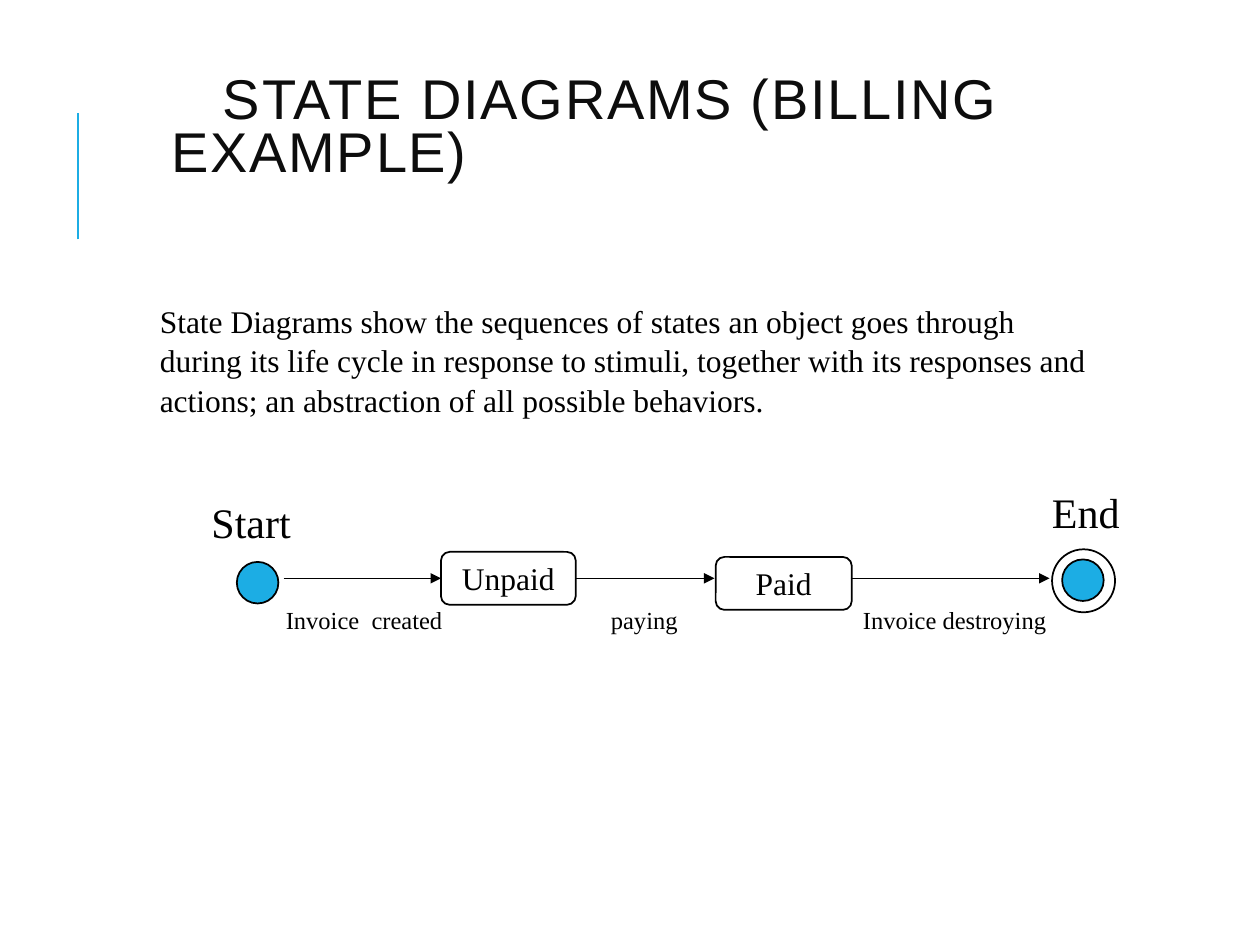
from dataclasses import dataclass

from lxml.etree import SubElement
from pptx import Presentation
from pptx.dml.color import RGBColor
from pptx.enum.shapes import MSO_CONNECTOR, MSO_SHAPE
from pptx.enum.text import MSO_ANCHOR, MSO_AUTO_SIZE, PP_ALIGN
from pptx.oxml.ns import qn
from pptx.util import Pt

PX = 9144  # EMU per px, 100 px to the inch


@dataclass(frozen=True)
class Theme:
    ink: RGBColor = RGBColor(0, 0, 0)
    title_ink: RGBColor = RGBColor(0x0D, 0x0D, 0x0D)
    accent: RGBColor = RGBColor(0x1C, 0xAD, 0xE4)
    title_font: str = "Arial"
    body_font: str = "Times New Roman"
    title_size: int = 32
    end_size: int = 24
    body_size: int = 18
    event_size: int = 14


theme = Theme()


def write(shape, text, *, size=theme.body_size, font=theme.body_font, color=theme.ink,
          align=PP_ALIGN.LEFT, anchor=MSO_ANCHOR.TOP, wrap=True, spacing=1.0):
    frame = shape.text_frame
    frame.word_wrap = wrap
    frame.auto_size = MSO_AUTO_SIZE.NONE
    frame.vertical_anchor = anchor
    paragraph = frame.paragraphs[0]
    paragraph.alignment = align
    paragraph.line_spacing = spacing
    run = paragraph.add_run()
    run.text = text
    run.font.size = Pt(size)
    run.font.name = font
    run.font.color.rgb = color
    return paragraph


def draw_line(x1, y1, x2, y2, color=theme.ink, width=0.75):
    line = slide.shapes.add_connector(
        MSO_CONNECTOR.STRAIGHT, x1 * PX, y1 * PX, x2 * PX, y2 * PX)
    line.line.color.rgb = color
    line.line.width = Pt(width)
    SubElement(line._element.spPr, qn("a:effectLst"))
    return line


prs = Presentation()
prs.slide_width, prs.slide_height = 1000 * PX, 750 * PX
slide = prs.slides.add_slide(prs.slide_layouts[5])

draw_line(62, 190, 62, 90, theme.accent, 1.5)

title = slide.shapes.title
title.left, title.top, title.width, title.height = (n * PX for n in (126, 23, 816, 160))
heading = write(title, "STATE DIAGRAMS (BILLING EXAMPLE)", size=theme.title_size,
                font=theme.title_font, color=theme.title_ink,
                anchor=MSO_ANCHOR.MIDDLE, spacing=0.8)
heading._p.get_or_add_pPr().set("indent", str(41 * PX))
heading.runs[0].font._element.set("spc", "100")

# Text, left, top, width, height, format
labels = [
    ("State Diagrams show the sequences of states an object goes through during its "
     "life cycle in response to stimuli, together with its responses and actions; "
     "an abstraction of all possible behaviors.",
     117, 233, 767, 100, {"spacing": 1.05}),
    ("Start", 158, 389, 108, 50, {"size": theme.end_size}),
    ("End", 825, 381, 75, 50, {"size": theme.end_size}),
    ("Invoice  created", 217, 475, 144, 33, {"size": theme.event_size, "wrap": False}),
    ("paying", 475, 475, 73, 33, {"size": theme.event_size}),
    ("Invoice destroying", 675, 475, 165, 33, {"size": theme.event_size, "wrap": False}),
]
for text, left, top, width, height, text_format in labels:
    label = slide.shapes.add_textbox(left * PX, top * PX, width * PX, height * PX)
    write(label, text, **text_format)

# Preset, left, top, width, height, fill, state name
rounded, circle = MSO_SHAPE.FLOWCHART_ALTERNATE_PROCESS, MSO_SHAPE.OVAL
nodes = [
    (rounded, 350, 438, 107, 42, None, "Unpaid"),
    (rounded, 568, 442, 108, 42, None, "Paid"),
    (circle, 188, 446, 33, 33, theme.accent, None),
    (circle, 843, 444, 33, 33, theme.accent, None),
    (circle, 835, 436, 50, 50, None, None),
]
states = {}
for preset, left, top, width, height, fill, state_name in nodes:
    node = slide.shapes.add_shape(preset, left * PX, top * PX, width * PX, height * PX)
    node.shadow.inherit = False
    node.line.color.rgb = theme.ink
    node.line.width = Pt(1)
    if fill is None:
        node.fill.background()
    else:
        node.fill.solid()
        node.fill.fore_color.rgb = fill
    if state_name:
        write(node, state_name, align=PP_ALIGN.CENTER, anchor=MSO_ANCHOR.MIDDLE, wrap=False)
        states[state_name] = node

flow_y = 459
transitions = []
for start_x, end_x in [(225, 350), (458, 567), (675, 833)]:
    transition = draw_line(start_x, flow_y, end_x, flow_y)
    SubElement(transition.line._get_or_add_ln(), qn("a:tailEnd"), type="triangle")
    transitions.append(transition)
created, paying, destroying = transitions
created.end_connect(states["Unpaid"], 1)
paying.begin_connect(states["Unpaid"], 3)

prs.save("out.pptx")
